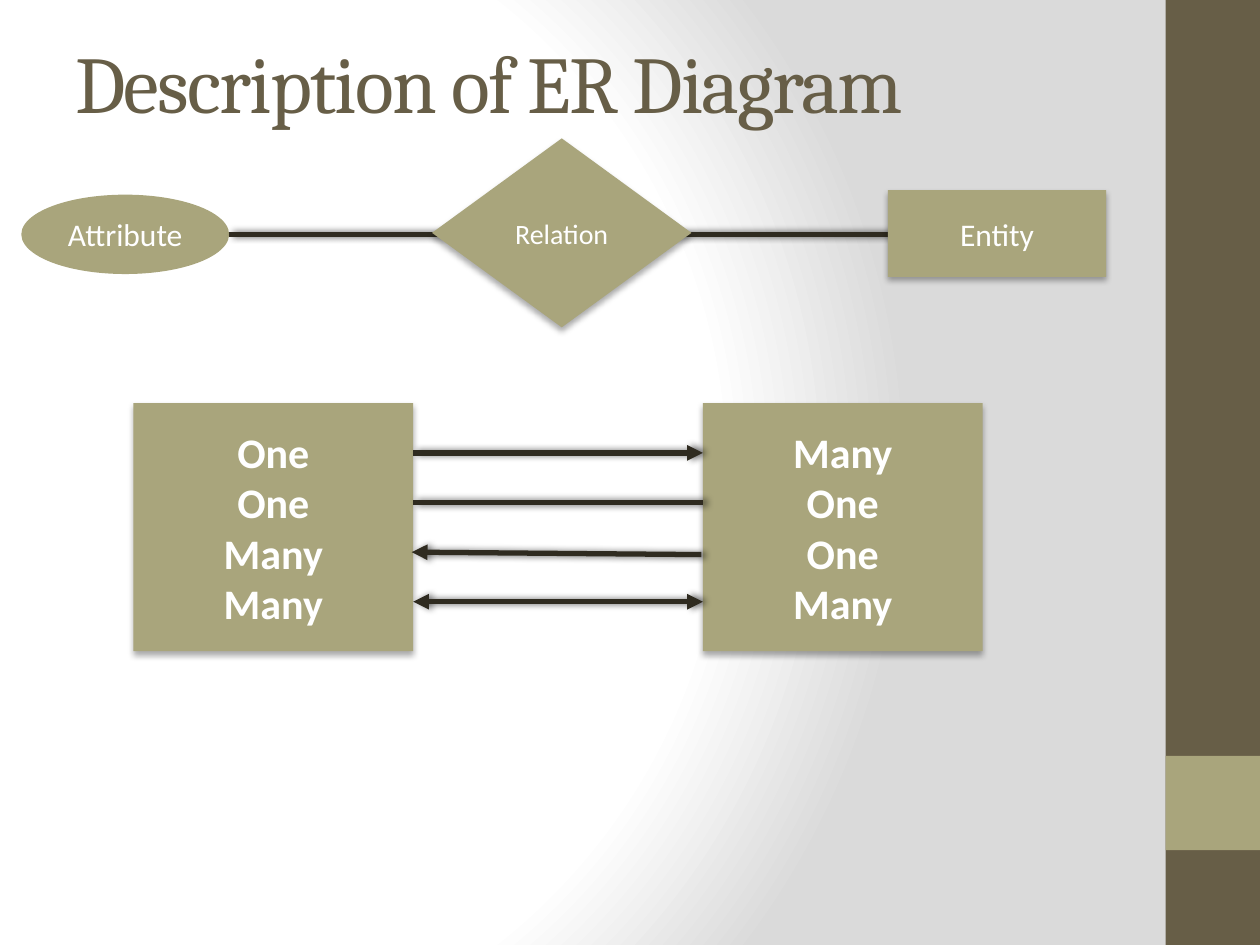
from lxml import etree
from pptx import Presentation
from pptx.dml.color import RGBColor
from pptx.enum.shapes import MSO_CONNECTOR, MSO_SHAPE
from pptx.enum.text import MSO_ANCHOR, PP_ALIGN
from pptx.oxml import parse_xml
from pptx.oxml.ns import qn
from pptx.util import Cm, Pt

HUES = {"brown": "675E47", "olive": "A9A57C", "ink": "2F2B20",
        "white": "FFFFFF", "grey": "DADADA", "black": "000000"}
NS = 'xmlns:a="http://schemas.openxmlformats.org/drawingml/2006/main"'


def hue(name):
    return RGBColor.from_string(HUES[name])


def write(shape, lines, size=18, font="Calibri", color="white", bold=False,
          align=PP_ALIGN.CENTER, track=None):
    """Fill a shape with one paragraph for each line."""
    frame = shape.text_frame
    frame.word_wrap = True
    frame.vertical_anchor = MSO_ANCHOR.MIDDLE
    for i, line in enumerate(lines):
        para = frame.add_paragraph() if i else frame.paragraphs[0]
        para.alignment = align
        run = para.add_run()
        run.text = line
        run.font.size, run.font.name, run.font.bold = Pt(size), font, bold
        run.font.color.rgb = hue(color)
        if track:
            run.font._element.set("spc", str(track * 100))


def shade(shape, alpha, blur, dist, angle):
    """Give a shape or connector an outer shadow."""
    shape._element.spPr.append(parse_xml(
        f'<a:effectLst {NS}><a:outerShdw blurRad="{Pt(blur)}" '
        f'dist="{Pt(dist)}" dir="{angle * 60000}" algn="ctr" rotWithShape="0">'
        f'<a:srgbClr val="{HUES["black"]}"><a:alpha val="{alpha * 1000}"/>'
        '</a:srgbClr></a:outerShdw></a:effectLst>'))


def block(slide, kind, x, y, w, h, fill="olive", shadow=True):
    shape = slide.shapes.add_shape(kind, Cm(x), Cm(y), Cm(w), Cm(h))
    shape.fill.solid()
    shape.fill.fore_color.rgb = hue(fill)
    shape.line.fill.background()
    if shadow:
        shade(shape, 32, 3.5, 2.2, 90)
    else:
        shape.shadow.inherit = False
    return shape


def link(slide, x1, y1, x2, y2, ends=()):
    """Draw a line; ends may hold headEnd and tailEnd."""
    line = slide.shapes.add_connector(
        MSO_CONNECTOR.STRAIGHT, Cm(x1), Cm(y1), Cm(x2), Cm(y2))
    line.line.width = Pt(3)
    line.line.color.rgb = hue("ink")
    for end in ends:
        etree.SubElement(line.line._get_or_add_ln(), qn(f"a:{end}"),
                         type="triangle")
    shade(line, 60, 4, 2, 0)


def paint(slide):
    """Radial background, white to grey."""
    fill = slide.background.fill
    fill.gradient()
    grad = slide.background._cSld.find(".//" + qn("a:gradFill"))
    stops = "".join(
        f'<a:gs pos="{pos * 1000}"><a:srgbClr val="{HUES[name]}"/></a:gs>'
        for pos, name in ((0, "white"), (75, "white"), (100, "grey")))
    grad.getparent().replace(grad, parse_xml(
        f'<a:gradFill {NS} rotWithShape="1"><a:gsLst>{stops}</a:gsLst>'
        '<a:path path="circle"><a:fillToRect l="20000" t="50000" r="100000" '
        'b="50000"/></a:path></a:gradFill>'))


def side(slide, x, y, w, h):
    """Brown side band with an olive square."""
    block(slide, MSO_SHAPE.RECTANGLE, x, y, w, h, "brown", False)
    block(slide, MSO_SHAPE.RECTANGLE, x, y + 0.8 * h, w, w, shadow=False)


def title(slide, x, y, w, h):
    box = slide.shapes.add_textbox(Cm(x), Cm(y), Cm(w), Cm(h))
    write(box, ["Description of ER Diagram"], size=46, font="Cambria",
          color="brown", align=PP_ALIGN.LEFT, track=-1)


def chain(slide, x, y, w, h):
    """Attribute, relation and entity on one line."""
    oval_w, rect_w = 4.19, 4.4
    mid = y + h / 2
    oval = block(slide, MSO_SHAPE.OVAL, x, mid - 0.77, oval_w, 1.6,
                 shadow=False)
    write(oval, ["Attribute"])
    right = x + w - rect_w
    link(slide, x + oval_w, mid + 0.03, right, mid + 0.03)
    rect = block(slide, MSO_SHAPE.RECTANGLE, right, mid - 0.86, rect_w, 1.75)
    write(rect, ["Entity"])
    gem = block(slide, MSO_SHAPE.FLOWCHART_DECISION, x + 8.28, y, 5.23, h)
    write(gem, ["Relation"], size=16)


def ratios(slide, x, y, w, h):
    """Two lists joined by a line for each cardinality."""
    # left word, right word, arrowheads, line runs right to left
    rows = (("One", "Many", ["tailEnd"], False),
            ("One", "One", [], False),
            ("Many", "One", ["tailEnd"], True),
            ("Many", "Many", ["headEnd", "tailEnd"], False))
    wide = 5.64
    left, right = x + wide, x + w - wide
    for col, start in enumerate((x, right)):
        box = block(slide, MSO_SHAPE.RECTANGLE, start, y, wide, h)
        write(box, [row[col] for row in rows], size=24, bold=True)
    step = h / (len(rows) + 1)
    for i, (_, _, ends, back) in enumerate(rows, 1):
        level = y + i * step
        if back:
            link(slide, right - 0.03, level + 0.05, left - 0.03, level, ends)
        else:
            link(slide, left, level, right, level, ends)


def main():
    deck = Presentation()
    deck.slide_width, deck.slide_height = Cm(25.4), Cm(19.05)
    slide = deck.slides.add_slide(deck.slide_layouts[6])
    paint(slide)
    side(slide, 23.5, 0, 1.9, 19.05)
    title(slide, 1.27, 0.76, 21.16, 1.75)
    chain(slide, 0.43, 2.79, 21.87, 3.81)
    ratios(slide, 2.69, 8.13, 17.12, 5)
    deck.save("out.pptx")


if __name__ == "__main__":
    main()
